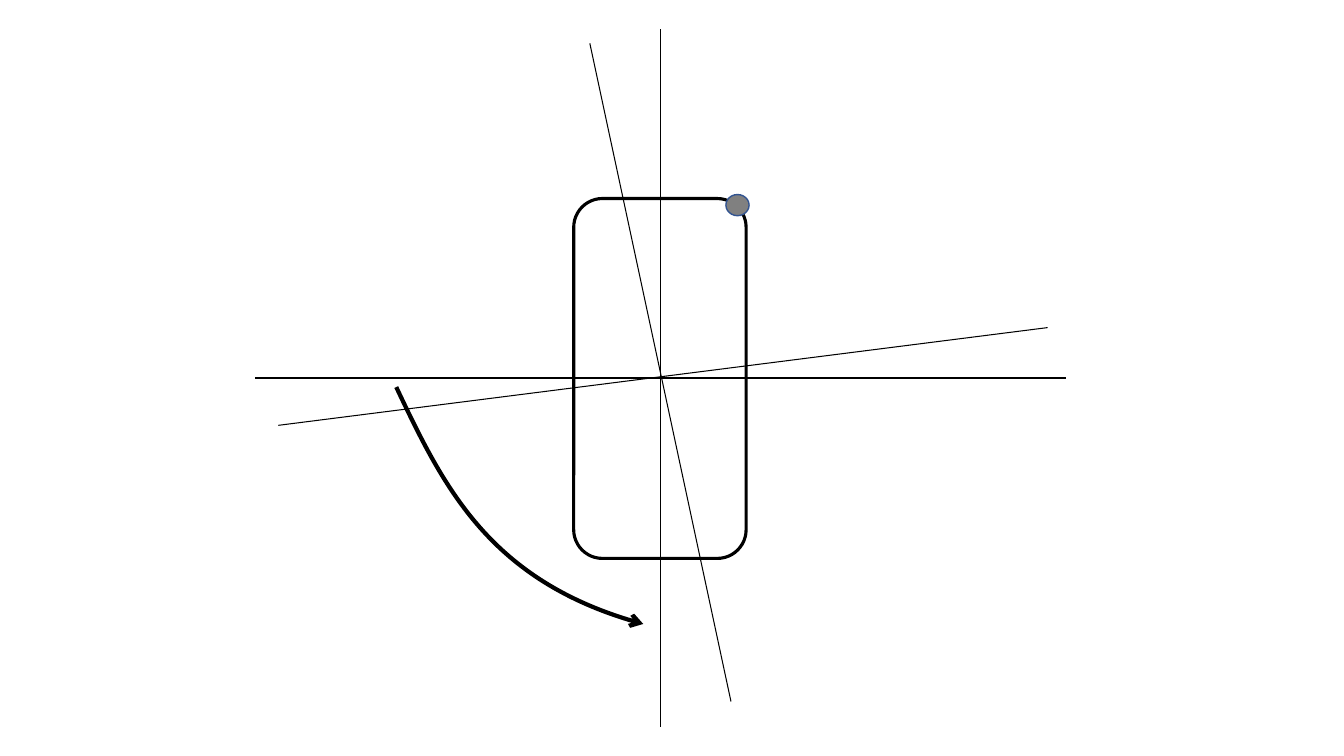
from lxml import etree
from pptx import Presentation
from pptx.dml.color import RGBColor
from pptx.enum.shapes import MSO_CONNECTOR as CONN, MSO_SHAPE as SHAPE
from pptx.oxml.ns import qn
from pptx.util import Inches, Pt

COLORS = {"ink": "000000", "dot": "808080", "dot_edge": "325491"}


def set_line(shape, color, width):
    shape.line.color.rgb = RGBColor.from_string(COLORS[color])
    shape.line.width = Pt(width)


prs = Presentation()
prs.slide_width, prs.slide_height = Inches(13.33), Inches(7.5)
s = prs.slides.add_slide(prs.slide_layouts[6])

axes = [(6.55, 0.29, 6.55, 7.21), (10.57, 3.75, 2.53, 3.75)]
tilted_axes = [(5.85, 0.43, 7.25, 6.96), (10.39, 3.25, 2.76, 4.22)]

for ends in axes:
    axis = s.shapes.add_connector(CONN.STRAIGHT, *map(Inches, ends))
    set_line(axis, "ink", 0.75)
    etree.SubElement(axis._element.spPr, qn("a:effectLst"))

body = s.shapes.add_shape(SHAPE.ROUNDED_RECTANGLE, *map(Inches, (5.69, 1.97, 1.71, 3.57)))
body.shadow.inherit = False
body.fill.background()
set_line(body, "ink", 2.25)

dot = s.shapes.add_shape(SHAPE.OVAL, *map(Inches, (7.2, 1.93, 0.23, 0.21)))
dot.shadow.inherit = False
dot.fill.solid()
dot.fill.fore_color.rgb = RGBColor.from_string(COLORS["dot"])
set_line(dot, "dot_edge", 1)

start, *controls = [(3.93, 3.84), (4.39, 4.81), (4.86, 5.78), (6.38, 6.19)]
builder = s.shapes.build_freeform(Inches(start[0]), Inches(start[1]))
builder.add_line_segments([(Inches(x), Inches(y)) for x, y in controls], close=False)
arc = builder.convert_to_shape()
arc.shadow.inherit = False
arc.fill.background()
set_line(arc, "ink", 3)
outline = arc._element.spPr.find(".//" + qn("a:path"))
curve = etree.SubElement(outline, qn("a:cubicBezTo"))
for segment in outline.findall(qn("a:lnTo")):
    curve.append(segment[0])
    outline.remove(segment)
etree.SubElement(arc.line._get_or_add_ln(), qn("a:tailEnd"), type="arrow")

for ends in tilted_axes:
    axis = s.shapes.add_connector(CONN.STRAIGHT, *map(Inches, ends))
    set_line(axis, "ink", 0.75)
    etree.SubElement(axis._element.spPr, qn("a:effectLst"))

prs.save("out.pptx")
